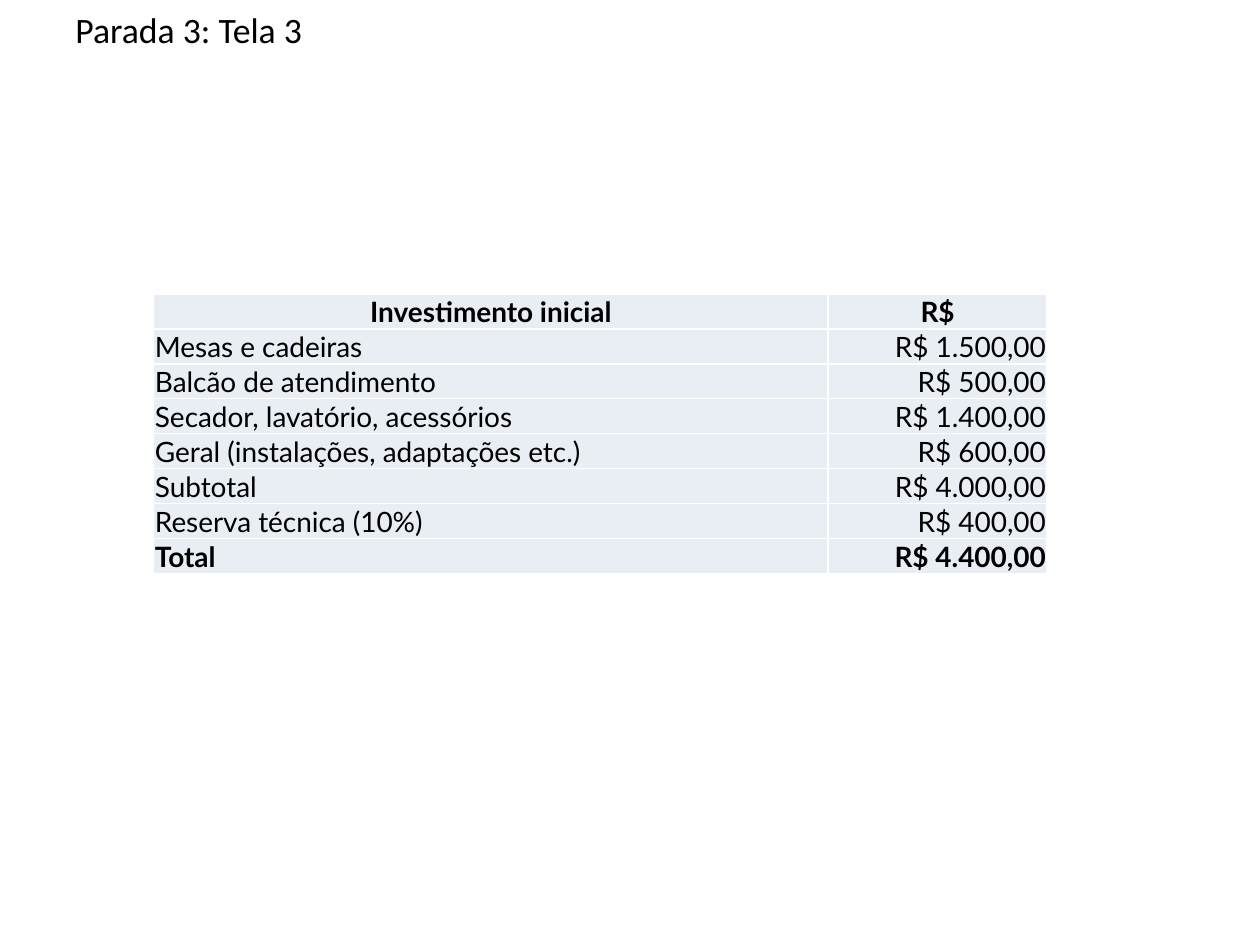
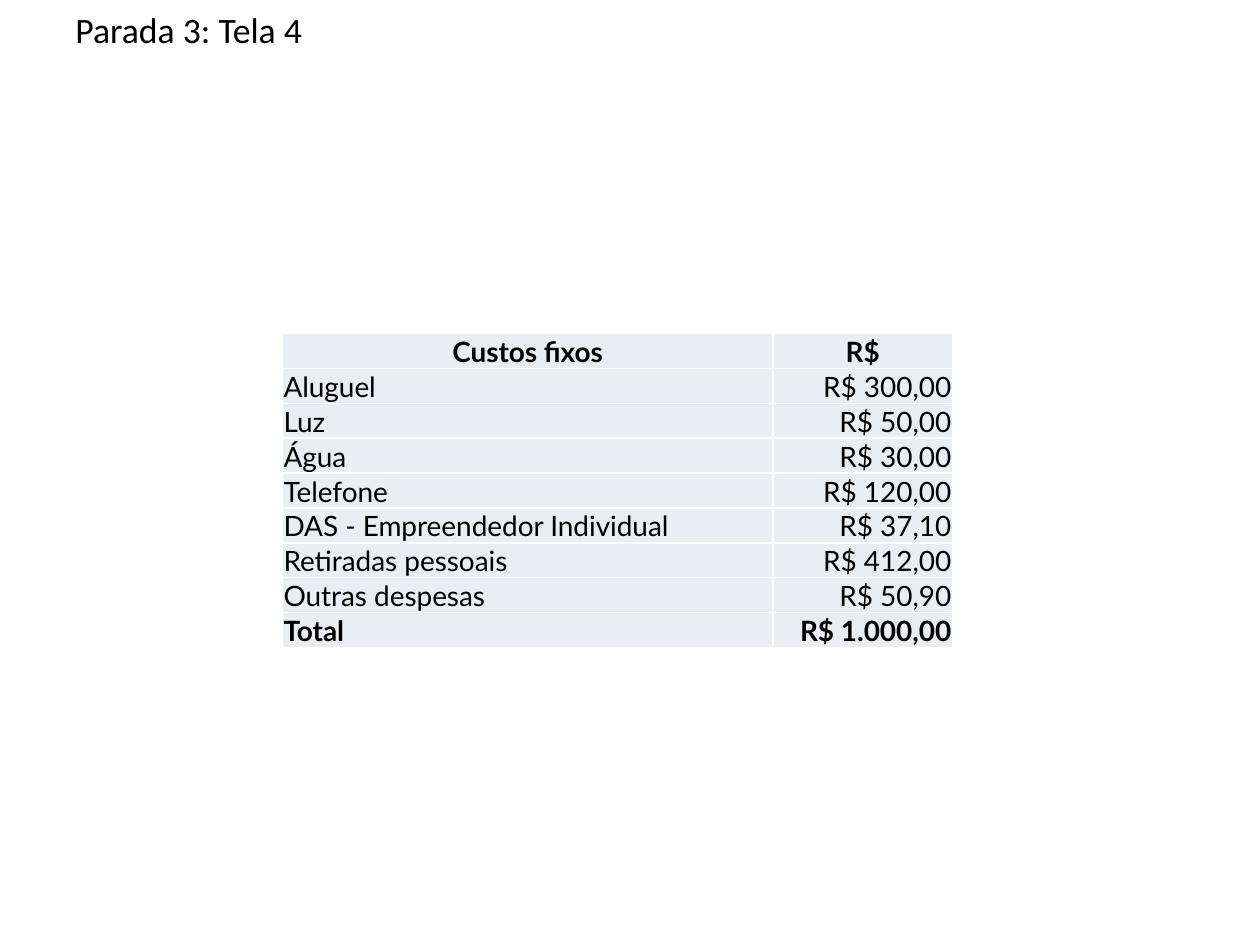
"""Build two slides, each with a heading and a two-column cost table."""
from dataclasses import dataclass

from lxml.etree import SubElement
from pptx import Presentation
from pptx.dml.color import RGBColor
from pptx.enum.text import MSO_ANCHOR as Anchor, PP_ALIGN as Align
from pptx.oxml.ns import qn
from pptx.util import Inches, Pt

SLIDES = [
    {
        "title": "Parada 3: Tela 3",
        "place": (0.122, 0.311, 0.709, 0.296),
        "label_share": 0.755,
        "rows": [
            ("Investimento inicial", "R$"),
            ("Mesas e cadeiras", "R$ 1.500,00"),
            ("Balcão de atendimento", "R$ 500,00"),
            ("Secador, lavatório, acessórios", "R$ 1.400,00"),
            ("Geral (instalações, adaptações etc.)", "R$ 600,00"),
            ("Subtotal", "R$ 4.000,00"),
            ("Reserva técnica (10%)", "R$ 400,00"),
            ("Total", "R$ 4.400,00"),
        ],
    },
    {
        "title": "Parada 3: Tela 4",
        "place": (0.224, 0.353, 0.532, 0.332),
        "label_share": 0.732,
        "rows": [
            ("Custos fixos", "R$"),
            ("Aluguel", "R$ 300,00"),
            ("Luz", "R$ 50,00"),
            ("Água", "R$ 30,00"),
            ("Telefone", "R$ 120,00"),
            ("DAS - Empreendedor Individual", "R$ 37,10"),
            ("Retiradas pessoais", "R$ 412,00"),
            ("Outras despesas", "R$ 50,90"),
            ("Total", "R$ 1.000,00"),
        ],
    },
]


@dataclass(frozen=True)
class Theme:
    title_font: str = "Calibri"
    title_size: float = 20.4
    table_font: str = "Lato"
    table_size: float = 16
    ink: str = "000000"
    cell: str = "E9EDF4"
    rule: str = "FFFFFF"
    rule_width: float = 1
    cell_inset: float = 0.01


THEME = Theme()
WIDTH, HEIGHT = Inches(10), Inches(7.5)
TITLE_PLACE = (0.05, 0.0013, 0.9, 0.05)


def to_lengths(place):
    return [int(share * side) for share, side in zip(place, (WIDTH, HEIGHT) * 2)]


def add_span(para, words, font, size, bold=False):
    span = para.add_run()
    span.text = words
    span.font.name, span.font.size, span.font.bold = font, Pt(size), bold
    span.font.color.rgb = RGBColor.from_string(THEME.ink)


def add_title(page, words):
    box = page.shapes.add_textbox(*to_lengths(TITLE_PLACE))
    box.text_frame.word_wrap = True
    add_span(box.text_frame.paragraphs[0], words, THEME.title_font, THEME.title_size)


def style_cell(cell):
    cell.vertical_anchor = Anchor.BOTTOM
    cell.margin_left = cell.margin_top = cell.margin_right = Inches(THEME.cell_inset)
    cell.margin_bottom = 0
    properties = cell._tc.get_or_add_tcPr()
    for side in ("a:lnL", "a:lnR", "a:lnT", "a:lnB"):
        line = SubElement(properties, qn(side), w=str(Pt(THEME.rule_width)))
        paint = SubElement(line, qn("a:solidFill"))
        SubElement(paint, qn("a:srgbClr"), val=THEME.rule)
    cell.fill.solid()
    cell.fill.fore_color.rgb = RGBColor.from_string(THEME.cell)


def add_cost_table(page, rows, place, label_share):
    left, top, width, height = to_lengths(place)
    table = page.shapes.add_table(len(rows), 2, left, top, width, height).table
    label_width = int(width * label_share)
    table.columns[0].width = label_width
    table.columns[1].width = width - label_width
    last = len(rows) - 1
    for index, row in enumerate(rows):
        table.rows[index].height = height // len(rows)
        for column, words in enumerate(row):
            cell = table.cell(index, column)
            style_cell(cell)
            para = cell.text_frame.paragraphs[0]
            para.alignment = (Align.LEFT, Align.RIGHT)[column] if index else Align.CENTER
            add_span(para, words, THEME.table_font, THEME.table_size, index in (0, last))


deck = Presentation()
deck.slide_width, deck.slide_height = WIDTH, HEIGHT
for content in SLIDES:
    page = deck.slides.add_slide(deck.slide_layouts[6])
    add_title(page, content["title"])
    add_cost_table(page, content["rows"], content["place"], content["label_share"])
deck.save("out.pptx")
